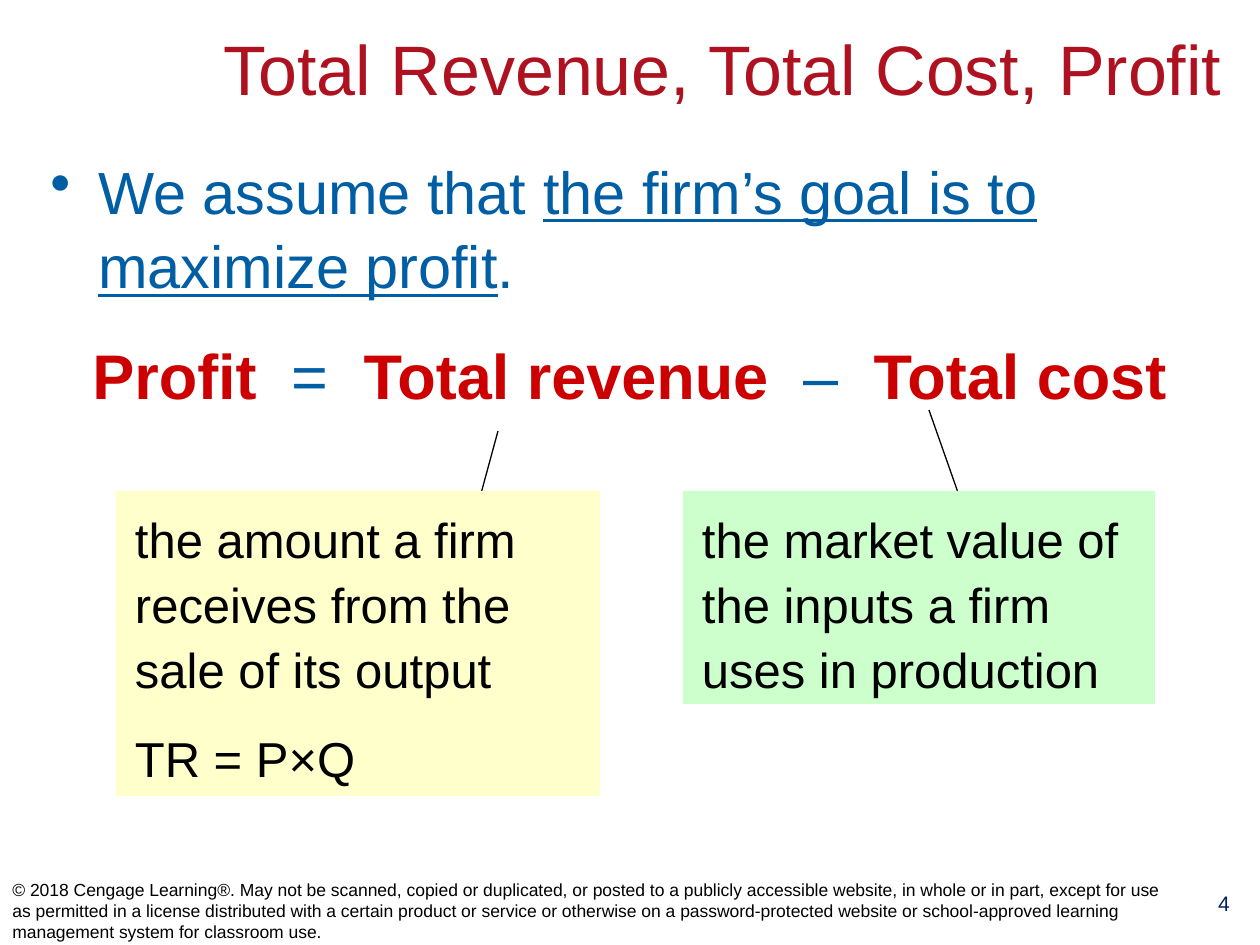
import pptx
import pptx.dml.color
import pptx.enum.shapes
import pptx.enum.text
import pptx.oxml.ns
import pptx.util
from lxml import etree

PX = pptx.util.Inches(1) / 126
COLORS = {
    "title": "AE1221", "body": "005EA4", "term": "CC0000", "number": "002060",
    "black": "000000", "revenue": "FFFFCC", "cost": "CCFFCC",
}
ALIGN = pptx.enum.text.PP_ALIGN
ANCHOR = pptx.enum.text.MSO_ANCHOR


def px(*lengths):
    return [pptx.util.Emu(round(length * PX)) for length in lengths]


def color(name):
    return pptx.dml.color.RGBColor.from_string(COLORS[name])


class Painter:
    """Holds the font and the current page, and draws each kind of element."""

    font_name = "Arial"

    def __init__(self, page):
        self.page = page

    def style(self, para, size, ink, align=ALIGN.LEFT, spacing=None, before=None):
        para.alignment = align
        if spacing:
            para.line_spacing = spacing
        if before:
            para.space_before = pptx.util.Pt(before)
        para.font.name = self.font_name
        para.font.size = pptx.util.Pt(size)
        para.font.color.rgb = color(ink)

    def text_box(self, area, top_inset=6, anchor=ANCHOR.TOP):
        frame = self.page.shapes.add_textbox(*px(*area)).text_frame
        frame.word_wrap = True
        frame.vertical_anchor = anchor
        frame.margin_top, = px(top_inset)
        return frame

    def label(self, area, text, size, ink, align=ALIGN.LEFT, anchor=ANCHOR.TOP):
        para = self.text_box(area, anchor=anchor).paragraphs[0]
        para.text = text
        self.style(para, size, ink, align)

    def bullet(self, para, indent):
        properties = para._p.get_or_add_pPr()
        width = px(indent)[0]
        properties.set("marL", str(width))
        properties.set("indent", str(-width))
        mark = etree.SubElement(properties, pptx.oxml.ns.qn("a:buChar"))
        mark.set("char", "•")

    def line(self, start, end):
        line = self.page.shapes.add_connector(
            pptx.enum.shapes.MSO_CONNECTOR.STRAIGHT, *px(*start, *end))
        line.line.color.rgb = color("black")
        line.line.width = pptx.util.Pt(0.75)
        etree.SubElement(line._element.spPr, pptx.oxml.ns.qn("a:effectLst"))

    def note(self, area, fill, texts):
        box = self.page.shapes.add_shape(
            pptx.enum.shapes.MSO_SHAPE.RECTANGLE, *px(*area))
        box.shadow.inherit = False
        box.fill.solid()
        box.fill.fore_color.rgb = color(fill)
        box.line.fill.background()
        frame = box.text_frame
        frame.word_wrap = True
        frame.vertical_anchor = ANCHOR.TOP
        frame.margin_left, frame.margin_right = px(19, 19)
        frame.margin_top, frame.margin_bottom = px(13, 13)
        for index, text in enumerate(texts):
            para = frame.add_paragraph() if index else frame.paragraphs[0]
            para.text = text
            self.style(para, 28, "black", spacing=1.1, before=14 if index else None)


def add_body(painter):
    frame = painter.text_box((38, 141, 1183, 747), top_inset=10)
    goal = frame.paragraphs[0]
    painter.bullet(goal, 48)
    painter.style(goal, 34, "body", spacing=1.05)
    for text, underlined in (("We assume that ", False),
                             ("the firm’s goal is to maximize profit", True),
                             (".", False)):
        span = goal.add_run()
        span.text = text
        span.font.underline = underlined

    equation = frame.add_paragraph()
    painter.style(equation, 36, "body", ALIGN.CENTER, spacing=1.05, before=18)
    for text in ("Profit", "  =  ", "Total revenue", "  –  ", "Total cost"):
        span = equation.add_run()
        span.text = text
        if text.strip().isascii() and text[0].isalpha():
            span.font.bold = True
            span.font.color.rgb = color("term")


def main():
    deck = pptx.Presentation()
    deck.slide_width, deck.slide_height = px(1260, 945)
    painter = Painter(deck.slides.add_slide(deck.slide_layouts[6]))

    painter.label((185, 14, 1075, 108), "Total Revenue, Total Cost, Profit",
                  40, "title", ALIGN.CENTER, ANCHOR.MIDDLE)
    add_body(painter)
    painter.label((1188, 885, 72, 52), "4", 12, "number", ALIGN.CENTER)
    painter.label(
        (0, 877, 1186, 68),
        "© 2018 Cengage Learning®. May not be scanned, copied or duplicated, or "
        "posted to a publicly accessible website, in whole or in part, except for "
        "use as permitted in a license distributed with a certain product or "
        "service or otherwise on a password-protected website or school-approved "
        "learning management system for classroom use.",
        10, "black", anchor=ANCHOR.MIDDLE)

    painter.line((476, 512), (498, 431))
    painter.note((116, 491, 484, 305), "revenue",
                 ["the amount a firm receives from the sale of its output",
                  "TR = P×Q"])
    painter.line((961, 501), (929, 410))
    painter.note((683, 491, 472, 213), "cost",
                 ["the market value of the inputs a firm uses in production"])

    deck.save("out.pptx")


if __name__ == "__main__":
    main()
